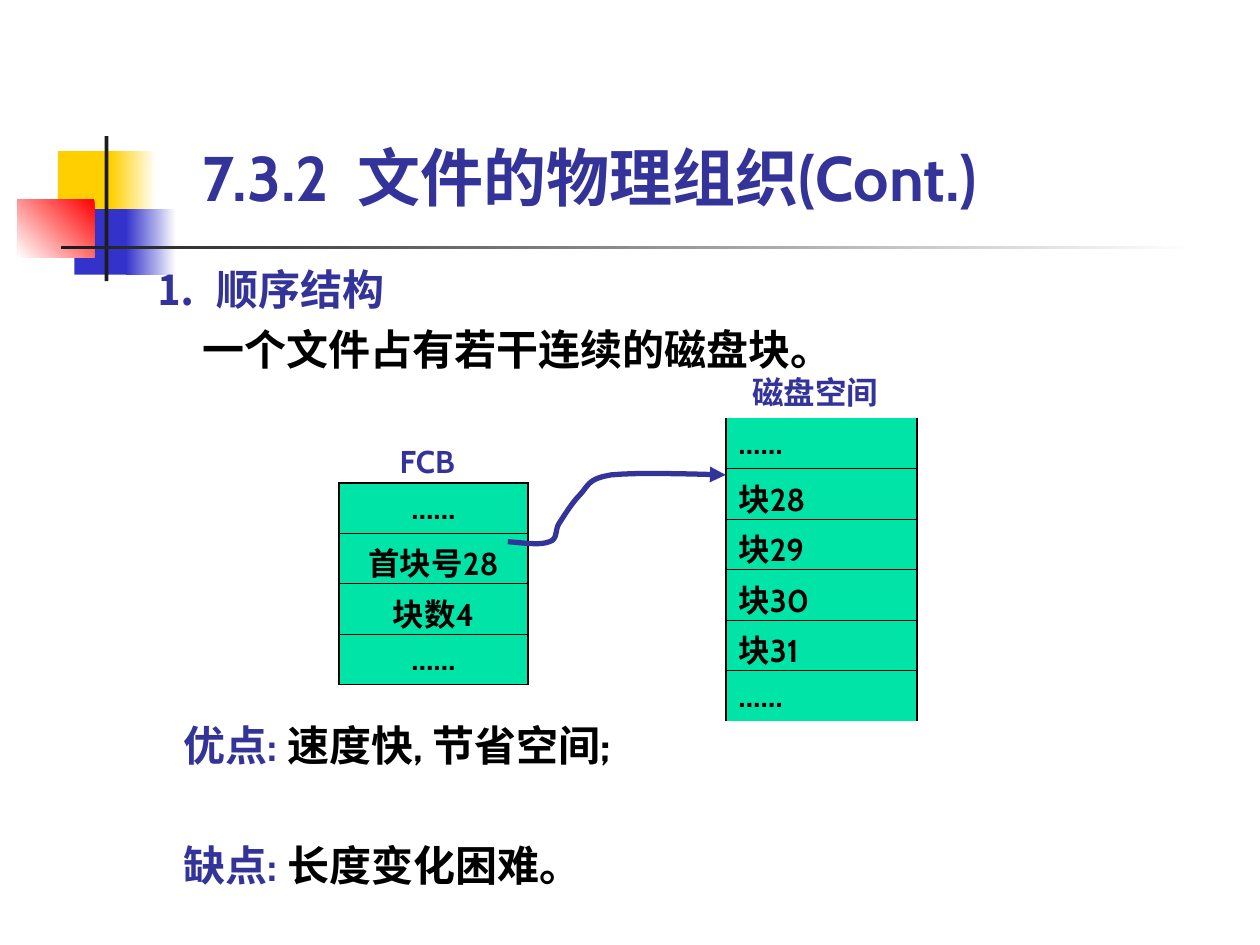
from lxml.etree import SubElement
from pptx import Presentation
from pptx.dml.color import RGBColor
from pptx.enum.shapes import MSO_SHAPE
from pptx.enum.text import MSO_ANCHOR, PP_ALIGN
from pptx.oxml import parse_xml
from pptx.oxml.ns import nsdecls, qn
from pptx.util import Pt

NAVY, BLACK, GREEN, WHITE = "333399", "000000", "00E4A8", "FFFFFF"
THIN, THICK = 0.45, 1.08


def color(value):
    return RGBColor.from_string(value)


def write(frame, lines, size=18, align=PP_ALIGN.LEFT, spacing=None, gap=0, indent=0):
    """Fill a frame; each line is a list of (text, colour), gap and indent apply after the first."""
    for index, runs in enumerate(lines):
        paragraph = frame.add_paragraph() if index else frame.paragraphs[0]
        paragraph.alignment = align
        if spacing:
            paragraph.line_spacing = spacing
        if index and gap:
            paragraph.space_before = Pt(gap)
        if index and indent:
            paragraph._p.get_or_add_pPr().set("marL", str(Pt(indent)))
        for text, text_color in runs:
            run = paragraph.add_run()
            run.text = text
            run.font.name = "Cabin"
            run.font.size = Pt(size)
            run.font.bold = True
            run.font.color.rgb = color(text_color)


presentation = Presentation()
presentation.slide_width, presentation.slide_height = Pt(720), Pt(540)
slide = presentation.slides.add_slide(presentation.slide_layouts[6])

# Corner ornament: bounds, fill colours (two make a gradient), gradient angle
ornament = [
    ((33.1, 86.4, 34.6, 37.4), ["FFCF01"], 0),
    ((63.4, 86.4, 25.9, 37.4), [WHITE, "FFCF01"], 180),
    ((42.5, 119.5, 33.1, 37.4), ["3333CC"], 0),
    ((72, 119.5, 28.8, 37.4), [WHITE, "3333CC"], 180),
    ((10.1, 113.8, 43.9, 33.1), ["FF0000", WHITE], 225),
    ((59.8, 77.8, 2.2, 82.8), ["1C1C1C"], 0),
    ((34.6, 140.4, 648, 2.2), [WHITE, "1C1C1C"], 180),
]
for bounds, fills, angle in ornament:
    shape = slide.shapes.add_shape(MSO_SHAPE.RECTANGLE, *map(Pt, bounds))
    shape.shadow.inherit = False
    shape.line.fill.background()
    if len(fills) == 1:
        shape.fill.solid()
        shape.fill.fore_color.rgb = color(fills[0])
    else:
        shape.fill.gradient()
        shape.fill.gradient_angle = angle
        for stop, value in zip(shape.fill.gradient_stops, fills):
            stop.color.rgb = color(value)

# Title, body and captions
texts = [
    ((115.9, 79.2, 515.5, 43.2), [[("7.3.2  文件的物理组织(Cont.)", NAVY)]],
     dict(size=36)),
    ((88.6, 144.7, 401.8, 69.1),
     [[("⒈  顺序结构", NAVY)], [("一个文件占有若干连续的磁盘块。", BLACK)]],
     dict(size=24, spacing=1.2, indent=27)),
    ((221.8, 252.7, 44.6, 21.6), [[("FCB", NAVY)]], dict(align=PP_ALIGN.CENTER)),
    ((426.2, 213.1, 79.2, 21.6), [[("磁盘空间", NAVY)]], dict(align=PP_ALIGN.CENTER)),
    ((105.1, 405.4, 283, 103.7),
     [[("优点: ", NAVY), ("速度快, 节省空间;", BLACK)],
      [("缺点: ", NAVY), ("长度变化困难。", BLACK)]],
     dict(size=24, spacing=1.2, gap=34)),
]
for bounds, lines, text_format in texts:
    frame = slide.shapes.add_textbox(*map(Pt, bounds)).text_frame
    frame.word_wrap = True
    frame.margin_left = frame.margin_right = frame.margin_top = frame.margin_bottom = 0
    if text_format.get("size") == 36:
        frame.vertical_anchor = MSO_ANCHOR.BOTTOM
    write(frame, lines, **text_format)

# Tables: bounds, rows, alignment, width of the outer top and bottom border
tables = [
    ((193.7, 275.8, 108, 90.7), ["……", "首块号28", "块数4", "……"], PP_ALIGN.CENTER, THICK),
    ((414.7, 239, 109.4, 161.3), ["……", "块28", "块29", "块30", "块31", "……"],
     PP_ALIGN.LEFT, None),
]
for bounds, entries, align, edge in tables:
    table = slide.shapes.add_table(len(entries), 1, *map(Pt, bounds)).table
    table.first_row = table.horz_banding = False
    last = len(entries) - 1
    for index, entry in enumerate(entries):
        cell = table.cell(index, 0)
        cell.vertical_anchor = MSO_ANCHOR.MIDDLE
        cell.fill.solid()
        cell.fill.fore_color.rgb = color(GREEN)
        write(cell.text_frame, [[(entry, BLACK)]], align=align)
        borders = [("lnL", THICK), ("lnR", THICK), ("lnT", THIN if index else edge),
                   ("lnB", THIN if index < last else edge)]
        for position, (tag, width) in enumerate(borders):
            border = parse_xml(f'<a:{tag} {nsdecls("a")}/>')
            if width:
                border.set("w", str(Pt(width)))
                fill = SubElement(border, qn("a:solidFill"))
                SubElement(fill, qn("a:srgbClr")).set("val", BLACK)
            else:
                SubElement(border, qn("a:noFill"))
            cell._tc.get_or_add_tcPr().insert(position, border)

# Curved arrow from the first block number to block 28, sampled from Bezier segments
start = (290.2, 309.6)
segments = [
    [(299.5, 310.3), (308.9, 311.8), (313.9, 309.6)],
    [(319, 308.2), (316.8, 303.1), (319.7, 298.8)],
    [(322.6, 294.5), (326.9, 287.3), (331.2, 283)],
    [(336.2, 277.9), (335.5, 273.6), (349.2, 271.4)],
    [(363.6, 270), (388.8, 270.7), (414.7, 271.4)],
]
STEPS = 8
points, origin = [], start
for first, second, end in segments:
    for step in range(1, STEPS + 1):
        t = step / STEPS
        points.append(tuple(
            (1 - t) ** 3 * a + 3 * (1 - t) ** 2 * t * b + 3 * (1 - t) * t ** 2 * c + t ** 3 * d
            for a, b, c, d in zip(origin, first, second, end)))
    origin = end
builder = slide.shapes.build_freeform(Pt(start[0]), Pt(start[1]))
builder.add_line_segments([(Pt(x), Pt(y)) for x, y in points], close=False)
arrow = builder.convert_to_shape()
arrow.shadow.inherit = False
arrow.fill.background()
arrow.line.color.rgb = color(NAVY)
arrow.line.width = Pt(3)
SubElement(arrow.line._get_or_add_ln(), qn("a:tailEnd")).set("type", "triangle")

presentation.save("out.pptx")
